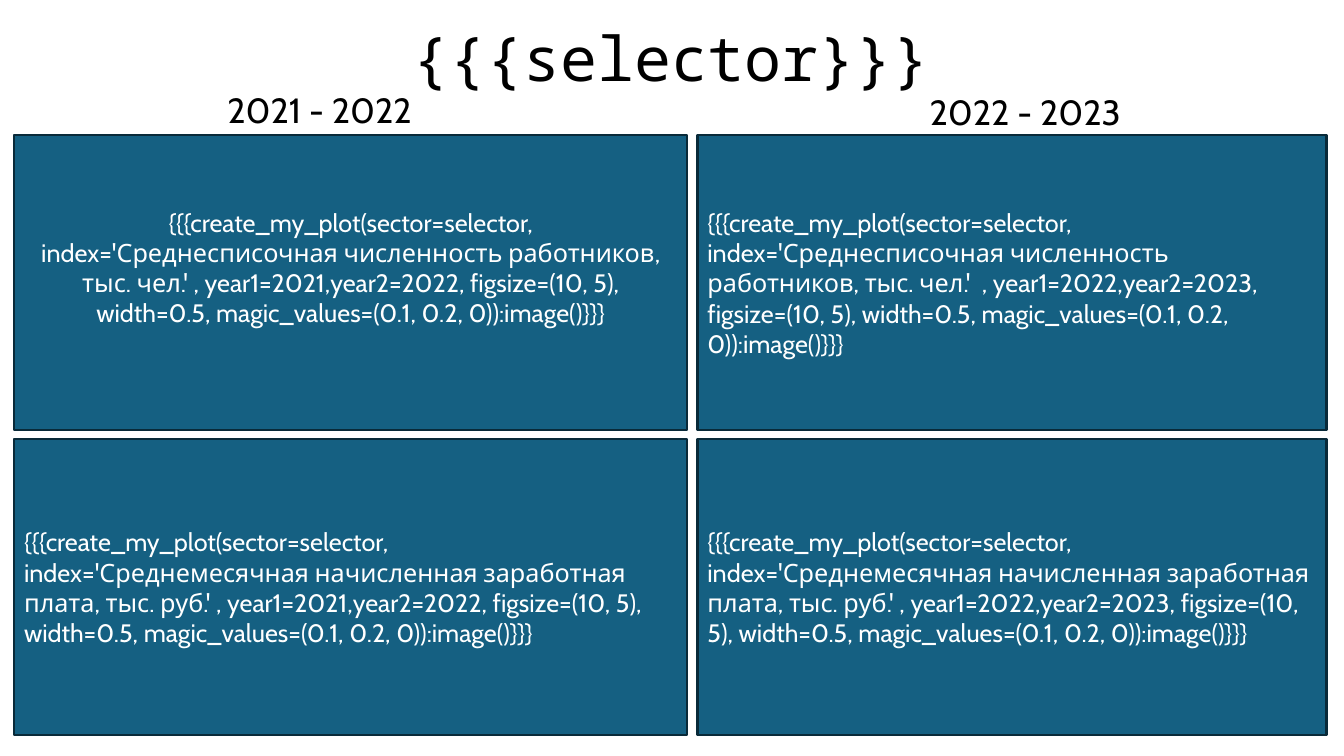
from dataclasses import dataclass

from pptx import Presentation
from pptx.dml.color import RGBColor
from pptx.enum.shapes import MSO_SHAPE
from pptx.enum.text import MSO_ANCHOR, PP_ALIGN
from pptx.util import Pt

RECTANGLE = MSO_SHAPE.RECTANGLE
MIDDLE, TOP = MSO_ANCHOR.MIDDLE, MSO_ANCHOR.TOP
LEFT, CENTER = PP_ALIGN.LEFT, PP_ALIGN.CENTER

COLORS = {"text": "000000", "panel": "156082", "border": "092A39", "panel_text": "FFFFFF"}
BODY_FONT = "Cabin"
TITLE_FONT = "Noto Sans Mono"
PANEL_HEIGHT = 210.96
INSET = 3.6
TEXT_LINE = 21.6


@dataclass(frozen=True)
class Box:
    left: float
    top: float
    width: float
    height: float

    def lengths(self) -> tuple:
        return Pt(self.left), Pt(self.top), Pt(self.width), Pt(self.height)


@dataclass(frozen=True)
class Period:
    start: int
    heading: Box
    panel_left: float
    panel_width: float


@dataclass(frozen=True)
class Indicator:
    name: str
    panel_top: float


PERIODS = [
    Period(2021, Box(63.36, 59.76, 329.76, 37.44), 10.08, 480.96),
    Period(2022, Box(567.36, 61.2, 329.76, 37.44), 498.24, 449.28),
]
INDICATORS = [
    Indicator("Среднесписочная численность работников, тыс. чел.", 96.48),
    Indicator("Среднемесячная начисленная заработная плата, тыс. руб.", 313.92),
]


def color(name: str) -> RGBColor:
    return RGBColor.from_string(COLORS[name])


def write(shape, text: str, size: float, color_name: str, font: str = BODY_FONT,
          align=CENTER, anchor=MIDDLE, spacing: float = 1.0) -> None:
    frame = shape.text_frame
    frame.word_wrap = True
    frame.vertical_anchor = anchor
    paragraph = frame.paragraphs[0]
    paragraph.alignment = align
    paragraph.line_spacing = spacing
    run = paragraph.add_run()
    run.text = text
    run.font.size = Pt(size)
    run.font.name = font
    run.font.color.rgb = color(color_name)


def plot_call(indicator: Indicator, start: int, gap: str) -> str:
    return (f"{{{{{{create_my_plot(sector=selector, index='{indicator.name}'{gap}, "
            f"year1={start},year2={start + 1}, figsize=(10, 5), width=0.5, "
            "magic_values=(0.1, 0.2, 0)):image()}}}")


def add_panel(slide, indicator: Indicator, period: Period) -> None:
    box = Box(period.panel_left, indicator.panel_top, period.panel_width, PANEL_HEIGHT)
    panel = slide.shapes.add_shape(RECTANGLE, *box.lengths())
    panel.shadow.inherit = False
    panel.fill.solid()
    panel.fill.fore_color.rgb = color("panel")
    panel.line.color.rgb = color("border")
    panel.line.width = Pt(1.5)

    headcount = indicator == INDICATORS[0]
    is_first = headcount and period == PERIODS[0]
    gap = "  " if headcount and not is_first else " "
    write(panel, plot_call(indicator, period.start, gap), 18, "panel_text",
          align=CENTER if is_first else LEFT)
    if is_first:
        # The first panel's text sits half a line above the middle
        panel.text_frame.margin_bottom = Pt(INSET + TEXT_LINE)


def main() -> None:
    prs = Presentation()
    prs.slide_width, prs.slide_height = Pt(960), Pt(540)
    slide = prs.slides.add_slide(prs.slide_layouts[6])

    # Title
    title = slide.shapes.add_textbox(*Box(95.04, -7.92, 768.96, 104.4).lengths())
    write(title, "{{{selector}}}", 44, "text", font=TITLE_FONT, spacing=0.9)

    # Plot panels: one row per indicator, one column per period
    for indicator in INDICATORS:
        for period in PERIODS:
            add_panel(slide, indicator, period)

    # Period headings
    for period in PERIODS:
        heading = slide.shapes.add_textbox(*period.heading.lengths())
        write(heading, f"{period.start} - {period.start + 1}", 25, "text", anchor=TOP)

    prs.save("out.pptx")


if __name__ == "__main__":
    main()
